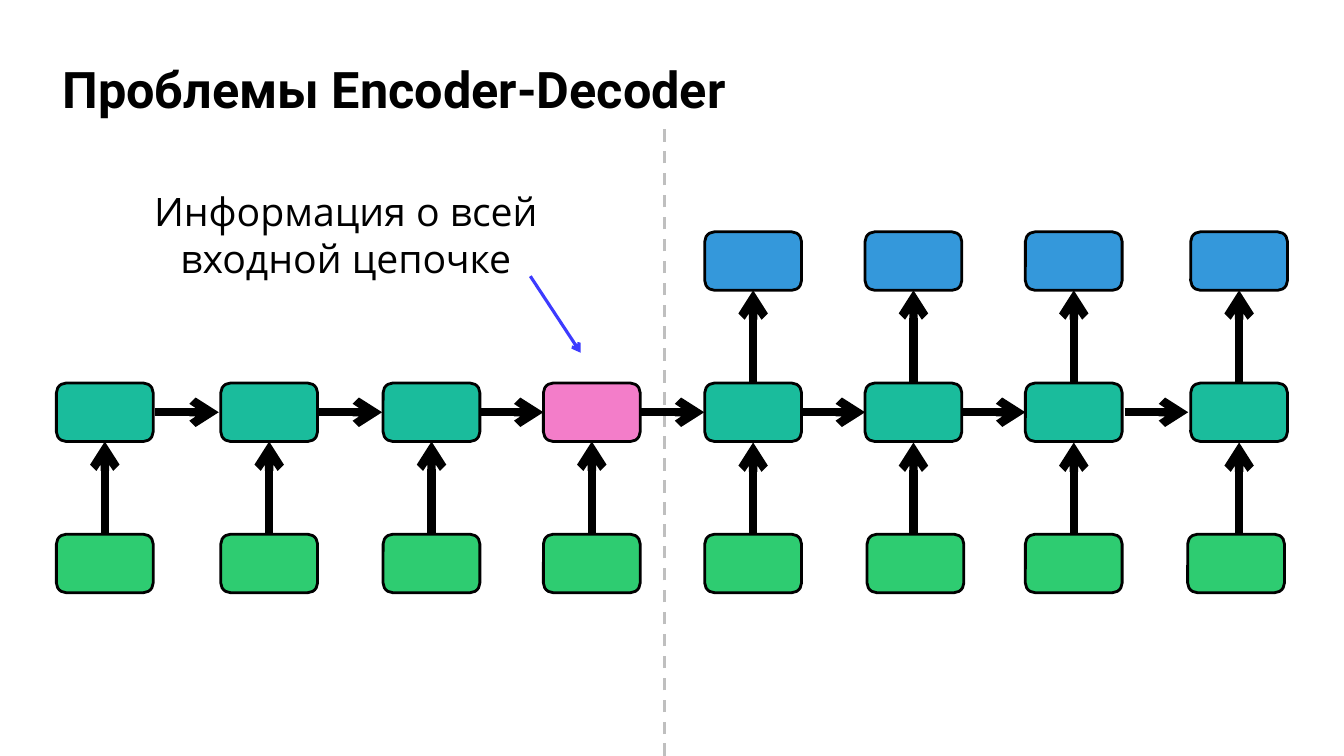
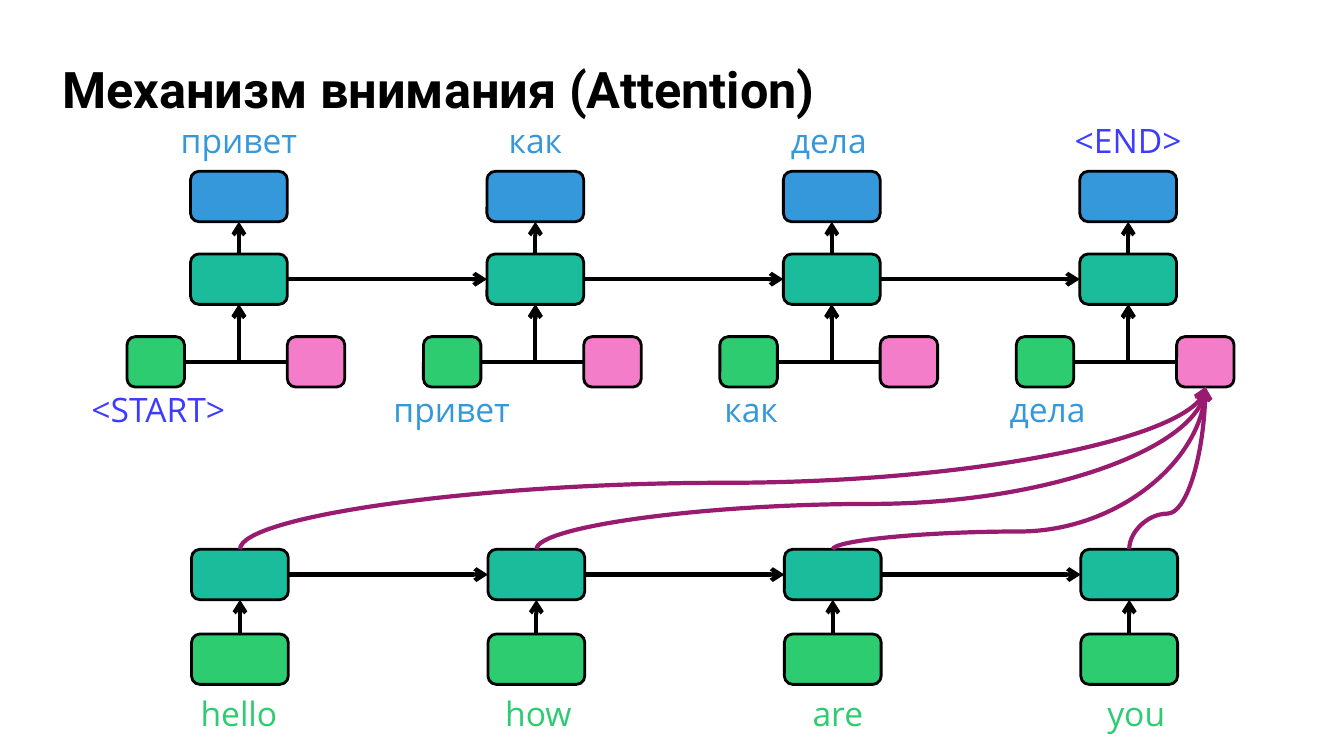
from dataclasses import dataclass

from pptx import Presentation
from pptx.dml.color import RGBColor
from pptx.enum.dml import MSO_LINE
from pptx.enum.shapes import MSO_CONNECTOR as Route, MSO_SHAPE as Preset
from pptx.enum.text import MSO_ANCHOR as Anchor, PP_ALIGN as Align
from pptx.oxml.ns import qn
from pptx.util import Inches, Pt
from lxml.etree import SubElement


@dataclass(frozen=True)
class Theme:
    black: str = "000000"
    grey: str = "BFBFBF"
    source: str = "2ECC71"
    hidden: str = "1ABC9C"
    output: str = "3498DB"
    context: str = "F37DC9"
    accent: str = "3D3BFF"
    attention: str = "991B6F"
    title_font: str = "Roboto"
    body_font: str = "Open Sans"
    title_size: int = 36
    note_size: int = 28
    label_size: int = 24
    outline: int = 2
    thin: float = 2.25
    arrow: int = 3
    thick_arrow: int = 6


THEME = Theme()
CELL_WIDTH = 0.96


@dataclass(frozen=True)
class Box:
    left: float
    top: float
    width: float
    height: float

    @property
    def right(self):
        return self.left + self.width

    @property
    def bottom(self):
        return self.top + self.height

    @property
    def center(self):
        return self.left + self.width / 2

    @property
    def middle(self):
        return self.top + self.height / 2

    def lengths(self):
        return [Inches(n) for n in (self.left, self.top, self.width, self.height)]


# Shared parts
def add_text(slide, box, text, size, color, font=THEME.body_font, align=Align.CENTER):
    frame = slide.shapes.add_textbox(*box.lengths()).text_frame
    frame.word_wrap = True
    paragraph = frame.paragraphs[0]
    paragraph.text = text
    paragraph.alignment = align
    paragraph.font.name = font
    paragraph.font.size = Pt(size)
    paragraph.font.color.rgb = RGBColor.from_string(color)
    return frame


def add_title(slide, text):
    frame = add_text(slide, Box(0.52, 0.55, 12.69, 0.72), text, THEME.title_size,
                     THEME.black, THEME.title_font, Align.LEFT)
    frame.vertical_anchor = Anchor.MIDDLE
    paragraph = frame.paragraphs[0]
    paragraph.font.bold = True
    paragraph.line_spacing = 0.9


def add_label(slide, center, top, text, color):
    add_text(slide, Box(center - 1.02, top, 2.04, 0.5), text, THEME.label_size, color)


def add_cell(slide, box, color):
    shape = slide.shapes.add_shape(Preset.ROUNDED_RECTANGLE, *box.lengths())
    shape.shadow.inherit = False
    shape.fill.solid()
    shape.fill.fore_color.rgb = RGBColor.from_string(color)
    shape.line.color.rgb = RGBColor.from_string(THEME.black)
    shape.line.width = Pt(THEME.outline)
    return box


def add_line(slide, start, end, color=THEME.black, width=THEME.arrow,
             route=Route.STRAIGHT, head=True):
    connector = slide.shapes.add_connector(route, *map(Inches, (*start, *end)))
    connector.line.color.rgb = RGBColor.from_string(color)
    connector.line.width = Pt(width)
    properties = connector.element.spPr
    if head:
        SubElement(properties.find(qn("a:ln")), qn("a:tailEnd"), type="arrow")
    SubElement(properties, qn("a:effectLst"))
    return connector


def add_corner_arrow(slide, start, end):
    """Arrow that runs sideways, then turns once towards its end."""
    connector = add_line(slide, start, end, route=Route.ELBOW)
    connector.element.spPr.find(qn("a:prstGeom")).set("prst", "bentConnector2")


def add_rising_curve(slide, start, end, bend):
    """S-curve leaving upwards; bend is the share of the rise at its turn."""
    center, middle = (start[0] + end[0]) / 2, (start[1] + end[1]) / 2
    half_rise, half_run = (start[1] - end[1]) / 2, (end[0] - start[0]) / 2
    connector = add_line(slide, (center + half_rise, middle + half_run),
                         (center - half_rise, middle - half_run),
                         THEME.attention, route=Route.CURVE)
    properties = connector.element.spPr
    properties.xfrm.set("rot", str(90 * 60000))
    adjustments = properties.find(qn("a:prstGeom")).get_or_add_avLst()
    SubElement(adjustments, qn("a:gd"), name="adj1", fmla=f"val {round(bend * 100000)}")


def link_cells(slide, cells, width=THEME.arrow, length=None):
    """Arrows between neighbours, centred in the gap if a length is given."""
    for cell, following in zip(cells, cells[1:]):
        center = (cell.right + following.left) / 2
        half = (length or following.left - cell.right) / 2
        add_line(slide, (center - half, cell.middle), (center + half, cell.middle),
                 width=width)


# Encoder-decoder slide
def draw_chain(slide, area):
    columns = (0, 1.63, 3.24, 4.83, 6.43, 8.02, 9.61, 11.25)
    input_shifts = (0, 0, 0, 0, 0, 0.02, 0, -0.03)
    last_encoder = 3
    height, row_step = 0.58, 1.5
    chain = []
    for index, (column, shift) in enumerate(zip(columns, input_shifts)):
        decoding = index > last_encoder
        output, hidden, source = (
            Box(area.left + column, area.top + row * row_step, CELL_WIDTH, height)
            for row in range(3))
        source_box = Box(source.left + shift, source.top, source.width, source.height)
        add_cell(slide, source_box, THEME.source)
        color = THEME.context if index == last_encoder else THEME.hidden
        chain.append(add_cell(slide, hidden, color))
        drop = 0.01 if decoding else 0
        add_line(slide, (hidden.center, source.top + drop),
                 (hidden.center, hidden.bottom + drop), width=THEME.thick_arrow)
        if decoding:
            add_cell(slide, output, THEME.output)
            add_line(slide, (hidden.center, hidden.top), (hidden.center, output.bottom),
                     width=THEME.thick_arrow)
    link_cells(slide, chain, THEME.thick_arrow, 0.63)


def build_problem_slide(slide):
    add_title(slide, "Проблемы Encoder-Decoder")
    divider = add_line(slide, (6.59, 7.5), (6.59, 1.22), THEME.grey, THEME.thin, head=False)
    divider.line.dash_style = MSO_LINE.DASH
    draw_chain(slide, Box(0.56, 2.3, 12.21, 3.58))
    # Note on the context cell
    add_text(slide, Box(1.06, 1.81, 4.74, 1.04), "Информация о всей входной цепочке",
             THEME.note_size, THEME.black)
    add_line(slide, (5.26, 2.74), (5.76, 3.5), THEME.accent, THEME.thin)


# Attention slide
COLUMN_STEP = 2.94
CELL_HEIGHT = 0.5


def draw_decoder(slide, area):
    """Draws the decoder steps and returns the last context cell."""
    # Fed word, its shift from the column centre, output word, its shift
    steps = (
        ("<START>", -0.8, "привет", 0),
        ("привет", -0.83, "как", 0),
        ("как", -0.8, "дела", -0.03),
        ("дела", -0.8, "<END>", 0),
    )
    side = 0.57
    chain = []
    for index, (fed, fed_shift, word, word_shift) in enumerate(steps):
        left = area.left + index * COLUMN_STEP
        output = add_cell(slide, Box(left, area.top, CELL_WIDTH, CELL_HEIGHT), THEME.output)
        hidden = add_cell(slide, Box(left, area.top + 0.82, CELL_WIDTH, CELL_HEIGHT),
                          THEME.hidden)
        row = area.top + 1.64
        source = add_cell(slide, Box(left - 0.63, row, side, CELL_HEIGHT), THEME.source)
        context = add_cell(slide, Box(hidden.right, row, side, CELL_HEIGHT), THEME.context)
        chain.append(hidden)
        add_line(slide, (hidden.center, hidden.top), (hidden.center, output.bottom))
        for edge in (source.right, context.left):
            add_corner_arrow(slide, (edge, source.middle), (hidden.center, hidden.bottom))
        # Words read and written at this step
        for text, shift, top in ((word, word_shift, area.top - 0.56),
                                 (fed, fed_shift, row + 0.47)):
            color = THEME.accent if text.startswith("<") else THEME.output
            add_label(slide, hidden.center + shift, top, text, color)
    link_cells(slide, chain)
    return context


def draw_encoder(slide, area):
    """Draws the encoder steps and returns their hidden cells."""
    chain = []
    words = (("hello", -0.01), ("how", 0.02), ("are", 0.05), ("you", 0.07))
    for index, (word, shift) in enumerate(words):
        left = area.left + index * COLUMN_STEP
        hidden = add_cell(slide, Box(left, area.top, CELL_WIDTH, CELL_HEIGHT), THEME.hidden)
        source = add_cell(slide, Box(left, area.top + 0.84, CELL_WIDTH, CELL_HEIGHT),
                          THEME.source)
        add_line(slide, (source.center, source.top), (source.center, hidden.bottom))
        add_label(slide, source.center + shift, area.top + 1.38, word, THEME.source)
        chain.append(hidden)
    link_cells(slide, chain)
    return chain


def build_attention_slide(slide):
    add_title(slide, "Механизм внимания (Attention)")
    context = draw_decoder(slide, Box(1.89, 1.7, 9.78, 2.14))
    encoder = draw_encoder(slide, Box(1.9, 5.45, 9.78, 1.34))
    # Attention from every encoder step to the last context cell
    for cell, bend in zip(encoder, (0.41, 0.28, 0.11, 0.22)):
        add_rising_curve(slide, (cell.center, cell.top), (context.center, context.bottom),
                         bend)


def main():
    presentation = Presentation()
    presentation.slide_width = Inches(13.33)
    presentation.slide_height = Inches(7.5)
    blank = presentation.slide_layouts[6]
    for build in (build_problem_slide, build_attention_slide):
        build(presentation.slides.add_slide(blank))
    presentation.save("out.pptx")


if __name__ == "__main__":
    main()
